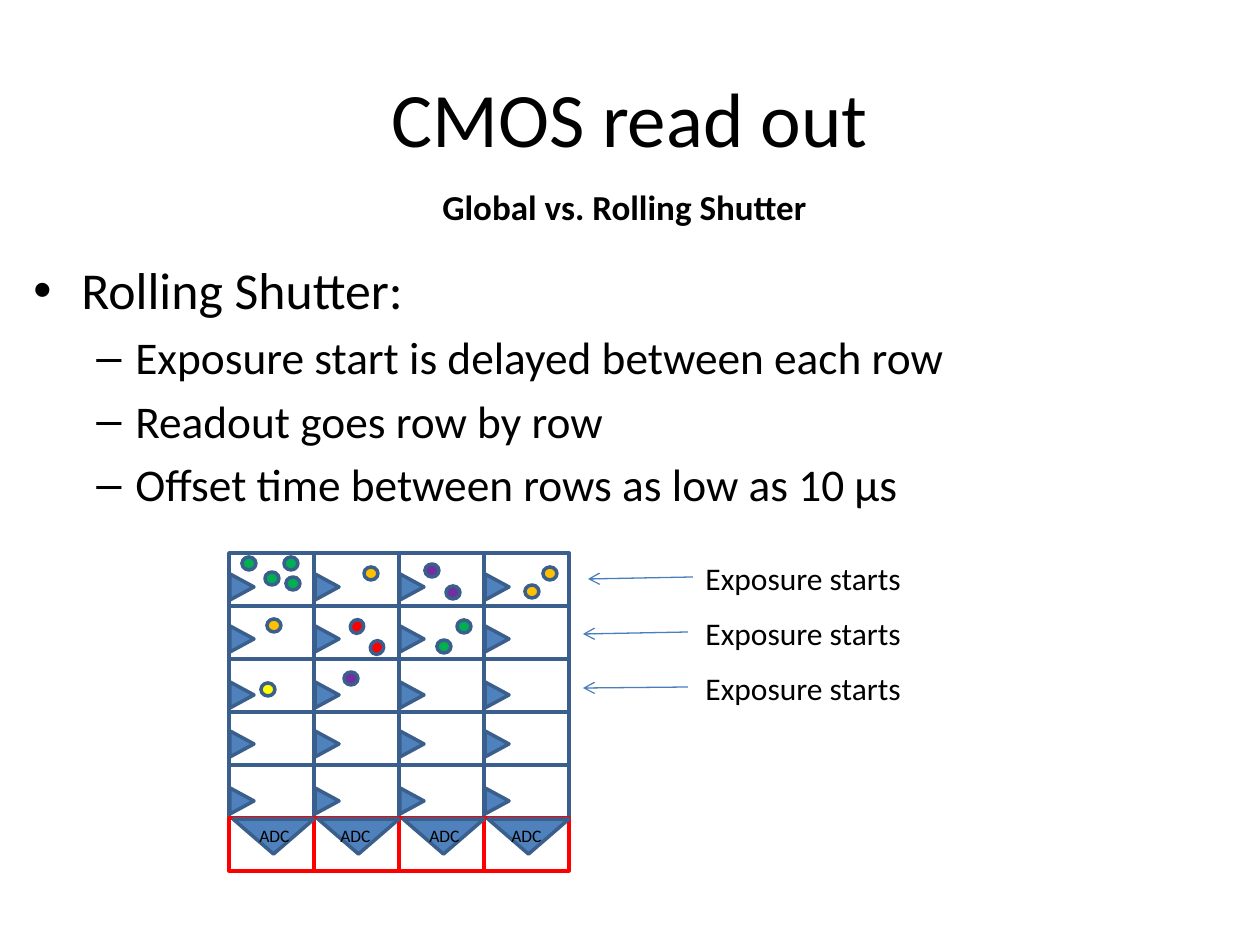
from lxml.etree import SubElement
from pptx import Presentation
from pptx.dml.color import RGBColor
from pptx.enum.shapes import MSO_CONNECTOR, MSO_SHAPE
from pptx.enum.text import MSO_ANCHOR, PP_ALIGN
from pptx.oxml.ns import qn
from pptx.util import Emu, Pt

PX_PER_INCH = 126
BLACK = RGBColor(0x00, 0x00, 0x00)
BLUE = RGBColor(0x4F, 0x81, 0xBD)
DARK_BLUE = RGBColor(0x3A, 0x5F, 0x8C)
ARROW_BLUE = RGBColor(0x4B, 0x7E, 0xBC)
RED = RGBColor(0xFF, 0x00, 0x00)
ORANGE = RGBColor(0xFF, 0xC0, 0x00)
GREEN = RGBColor(0x00, 0xB0, 0x50)
PURPLE = RGBColor(0x70, 0x30, 0xA0)
YELLOW = RGBColor(0xFF, 0xFF, 0x00)

COLUMNS = 4
CELL_WIDTH, CELL_HEIGHT = 85, 53
AMPLIFIER_TOPS = [22, 21, 24, 20, 24]
ADC_LABEL_LEFTS = [18, 14, 18, 15]
PHOTONS = {
    ORANGE: [(296, 32), (314, 14), (38, 66), (135, 14)],
    GREEN: [(36, 19), (57, 24), (55, 4), (13, 4), (208, 87), (228, 67)],
    PURPLE: [(196, 11), (217, 33), (115, 119)],
    RED: [(121, 67), (141, 88)],
    YELLOW: [(32, 130)],
}


def px(length):
    return Emu(round(length * 914400 / PX_PER_INCH))


def style_font(para, size, bold=False):
    font = para.font
    font.name = "Calibri"
    font.size = Pt(size)
    font.bold = bold
    font.color.rgb = BLACK


def add_text(shapes, box, text, size, align=PP_ALIGN.LEFT, anchor=MSO_ANCHOR.TOP, bold=False):
    frame = shapes.add_textbox(*map(px, box)).text_frame
    frame.word_wrap = True
    frame.vertical_anchor = anchor
    para = frame.paragraphs[0]
    para.text = text
    para.alignment = align
    style_font(para, size, bold)


def add_outlined(shapes, kind, box, line=DARK_BLUE, fill=None, rotation=0):
    shape = shapes.add_shape(kind, *map(px, box))
    shape.shadow.inherit = False
    shape.rotation = rotation
    if fill is None:
        shape.fill.background()
    else:
        shape.fill.solid()
        shape.fill.fore_color.rgb = fill
    shape.line.color.rgb = line
    shape.line.width = Pt(2)


def add_arrow(shapes, start, end):
    arrow = shapes.add_connector(MSO_CONNECTOR.STRAIGHT, *map(px, start + end))
    arrow.line.color.rgb = ARROW_BLUE
    arrow.line.width = Pt(0.75)
    SubElement(arrow.line._get_or_add_ln(), qn("a:tailEnd"), type="arrow")
    SubElement(arrow._element.spPr, qn("a:effectLst"))


def add_headings(page, left, top):
    add_text(page.shapes, (left, top, 1134, 158), "CMOS read out", 44,
             PP_ALIGN.CENTER, MSO_ANCHOR.MIDDLE)
    add_text(page.shapes, (left + 336, top + 141, 451, 55), "Global vs. Rolling Shutter", 20,
             PP_ALIGN.CENTER, bold=True)


def add_bullets(page, box):
    frame = page.shapes.add_textbox(*map(px, box)).text_frame
    frame.word_wrap = True
    lines = [
        (0, "Rolling Shutter:"),
        (1, "Exposure start is delayed between each row"),
        (1, "Readout goes row by row"),
        (1, "Offset time between rows as low as 10 μs"),
    ]
    levels = [("•", 48, 48, 29.6), ("–", 102, 39, 25.9)]
    for index, (level, text) in enumerate(lines):
        mark, margin, hanging, size = levels[level]
        para = frame.paragraphs[0] if index == 0 else frame.add_paragraph()
        para.text = text
        para.level = level
        if index:
            para.space_before = Pt(5.2)
        properties = para._p.get_or_add_pPr()
        properties.set("marL", str(px(margin)))
        properties.set("indent", str(px(-hanging)))
        SubElement(properties, qn("a:buFont"), typeface="Arial")
        SubElement(properties, qn("a:buChar"), char=mark)
        style_font(para, size)


def add_sensor(page, left, top):
    shapes = page.shapes.add_group_shape().shapes
    columns = [left + column * CELL_WIDTH for column in range(COLUMNS)]
    for row, offset in enumerate(AMPLIFIER_TOPS):
        y = top + row * CELL_HEIGHT
        for x in columns:
            add_outlined(shapes, MSO_SHAPE.RECTANGLE, (x, y, CELL_WIDTH, CELL_HEIGHT))
            add_outlined(shapes, MSO_SHAPE.ISOSCELES_TRIANGLE, (x, y + offset, 26, 24),
                         fill=BLUE, rotation=90)

    y = top + len(AMPLIFIER_TOPS) * CELL_HEIGHT
    for x in columns:
        add_outlined(shapes, MSO_SHAPE.RECTANGLE, (x, y, CELL_WIDTH, CELL_HEIGHT), line=RED)
    for x, offset in zip(columns, ADC_LABEL_LEFTS):
        add_outlined(shapes, MSO_SHAPE.ISOSCELES_TRIANGLE, (x + 4, y + 1, 81, 35),
                     fill=BLUE, rotation=180)
        add_text(shapes, (x + offset, y + 1, 64, 34), "ADC", 10)


def add_photons(page, left, top):
    for color, places in PHOTONS.items():
        for x, y in places:
            add_outlined(page.shapes, MSO_SHAPE.OVAL, (left + x, top + y, 14, 13),
                         fill=color, rotation=122.3 if color == RED else 0)


def add_exposure_labels(page, left, top):
    for row, (shift, drop) in enumerate([(0, 2), (-5, 2), (-5, 1)]):
        y = top + row * 55
        add_text(page.shapes, (left, y, 284, 50), "Exposure starts", 18)
        add_arrow(page.shapes, (left + shift, y + 24), (left + shift - 105, y + 24 + drop))


def main():
    deck = Presentation()
    deck.slide_width, deck.slide_height = px(1260), px(945)
    page = deck.slides.add_slide(deck.slide_layouts[6])
    add_headings(page, 63, 38)
    add_bullets(page, (21, 252, 1134, 262))
    add_exposure_labels(page, 693, 553)
    add_sensor(page, 229, 553)
    add_photons(page, 229, 553)
    deck.save("out.pptx")


if __name__ == "__main__":
    main()
